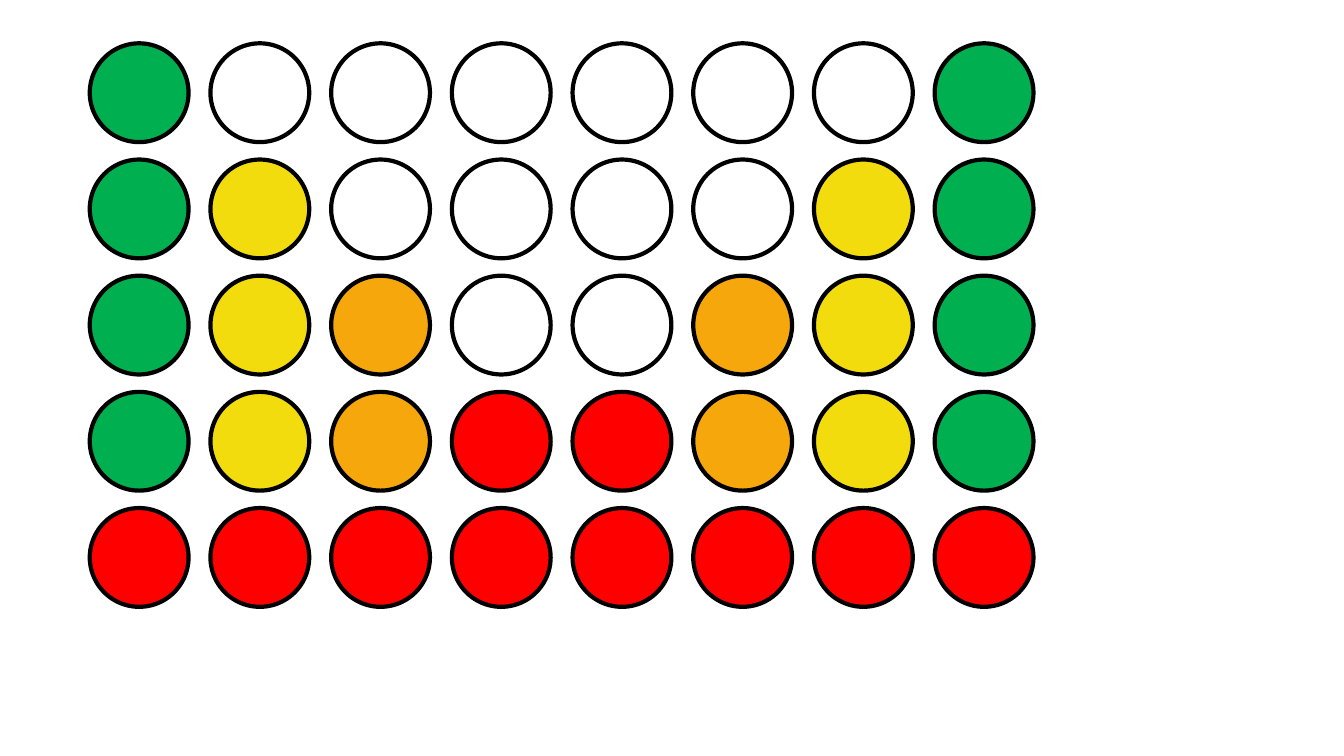
from pptx import Presentation
from pptx.dml.color import RGBColor
from pptx.enum.shapes import MSO_SHAPE
from pptx.util import Inches, Pt

GREEN = RGBColor(0x00, 0xB0, 0x50)
YELLOW = RGBColor(0xF2, 0xDC, 0x0E)
ORANGE = RGBColor(0xF5, 0xA7, 0x0B)
RED = RGBColor(0xFF, 0x00, 0x00)
BLACK = RGBColor(0x00, 0x00, 0x00)

RINGS = [GREEN, YELLOW, ORANGE, RED]
ROWS, COLS = 5, 8
SIZE = 0.98


def pick(row, col):
    """Return the colour of a disc, or None for an empty one."""
    if row == ROWS - 1:
        return RED
    ring = min(col, COLS - 1 - col)
    return RINGS[ring] if ring <= row else None


def add_disc(slide, left, top, color):
    """Draw one outlined disc."""
    disc = slide.shapes.add_shape(
        MSO_SHAPE.OVAL, Inches(left), Inches(top), Inches(SIZE), Inches(SIZE))
    disc.shadow.inherit = False
    disc.line.color.rgb = BLACK
    disc.line.width = Pt(3)
    if color is None:
        disc.fill.background()
    else:
        disc.fill.solid()
        disc.fill.fore_color.rgb = color


def add_board(slide, left, top, width, height):
    """Spread the grid of discs evenly over the given box."""
    step_x = (width - SIZE) / (COLS - 1)
    step_y = (height - SIZE) / (ROWS - 1)
    for row in range(ROWS):
        for col in range(COLS):
            add_disc(slide, left + col * step_x, top + row * step_y,
                     pick(row, col))


def main():
    """Build the slide and save it."""
    deck = Presentation()
    deck.slide_width = Inches(13.33)
    deck.slide_height = Inches(7.5)
    slide = deck.slides.add_slide(deck.slide_layouts[6])
    add_board(slide, 0.89, 0.43, 9.36, 5.59)
    deck.save("out.pptx")


if __name__ == "__main__":
    main()
